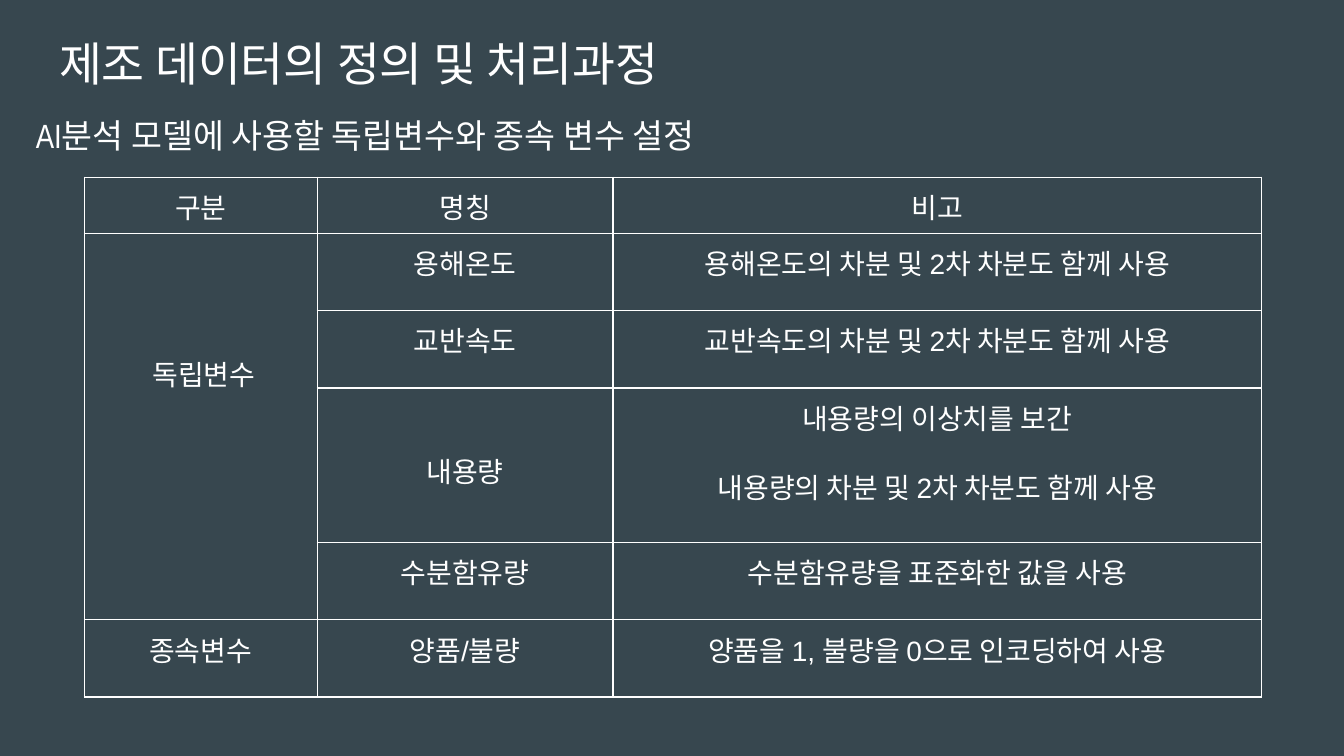
import dataclasses

import lxml.etree
import pptx
import pptx.dml.color
import pptx.enum.text
import pptx.oxml.ns
import pptx.util

Pt = pptx.util.Pt
ALIGN = pptx.enum.text.PP_ALIGN
ANCHOR = pptx.enum.text.MSO_ANCHOR


@dataclasses.dataclass(frozen=True)
class Theme:
    background: str = "37474F"
    ink: str = "FFFFFF"
    heading_font: str = "Arial Narrow"
    table_font: str = "Arial"
    title_size: float = 25
    subtitle_size: float = 18
    table_size: float = 15
    border_width: float = 0.75


def apply(target, formats):
    for name, value in formats.items():
        setattr(target, name, value)


def add_xml(parent, tag, **attributes):
    return lxml.etree.SubElement(parent, pptx.oxml.ns.qn(tag), attributes)


class Deck:
    """Holds the theme and the current slide."""

    def __init__(self, theme, width, height):
        self.theme = theme
        self.file = pptx.Presentation()
        apply(self.file, {"slide_width": Pt(width), "slide_height": Pt(height)})

    def add_slide(self):
        self.slide = self.file.slides.add_slide(self.file.slide_layouts[1])
        backdrop = self.slide.background.fill
        backdrop.solid()
        backdrop.fore_color.rgb = self.color(self.theme.background)

    def color(self, code):
        return pptx.dml.color.RGBColor.from_string(code)

    def add_text(self, paragraph, text, font, size, **formats):
        run = paragraph.add_run()
        run.text = text
        apply(run.font, {"name": font, "size": Pt(size), "bold": False})
        run.font.color.rgb = self.color(self.theme.ink)
        apply(paragraph, formats)

    def heading(self, index, text, box, size, indent=0):
        holder = self.slide.placeholders[index]
        apply(holder, dict(zip(("left", "top", "width", "height"), map(Pt, box))))
        frame = holder.text_frame
        margins = {f"margin_{side}": Pt(7.2) for side in ("left", "top", "right", "bottom")}
        apply(frame, {
            "word_wrap": True,
            "auto_size": pptx.enum.text.MSO_AUTO_SIZE.NONE,
            "vertical_anchor": ANCHOR.MIDDLE,
            **margins,
        })
        paragraph = frame.paragraphs[0]
        self.add_text(paragraph, text, self.theme.heading_font, size,
                      alignment=ALIGN.LEFT, line_spacing=1.0, space_before=Pt(0))
        # No bullet, plain left indent
        properties = paragraph._p.get_or_add_pPr()
        properties.set("marL", str(Pt(indent)))
        properties.set("indent", "0")
        add_xml(properties, "a:buNone")

    def borders(self, cell):
        properties = cell._tc.get_or_add_tcPr()
        for side in ("a:lnL", "a:lnR", "a:lnT", "a:lnB"):
            line = add_xml(properties, side, w=str(Pt(self.theme.border_width)))
            add_xml(add_xml(line, "a:solidFill"), "a:srgbClr", val=self.theme.ink)

    def table(self, rows, left, top, widths, heights, merges, drops):
        grid = self.slide.shapes.add_table(
            len(heights), len(widths), Pt(left), Pt(top),
            Pt(sum(widths)), Pt(sum(heights))).table
        apply(grid, {"first_row": False, "horz_banding": False})
        for column, width in zip(grid.columns, widths):
            column.width = Pt(width)
        for row, height in zip(grid.rows, heights):
            row.height = Pt(height)
        for first, last in merges:
            grid.cell(*first).merge(grid.cell(*last))
        for r, row in enumerate(rows):
            for c, text in enumerate(row):
                self.cell(grid.cell(r, c), text, drops.get((r, c), 0))

    def cell(self, cell, text, drop):
        self.borders(cell)
        cell.fill.background()
        apply(cell, {
            "margin_left": Pt(5), "margin_right": Pt(5),
            "margin_top": Pt(1.5 + drop), "margin_bottom": Pt(1.5),
            "vertical_anchor": ANCHOR.TOP,
        })
        if not text:
            return
        frame = cell.text_frame
        for n, line in enumerate(text.split("\n")):
            paragraph = frame.add_paragraph() if n else frame.paragraphs[0]
            self.add_text(paragraph, line, self.theme.table_font, self.theme.table_size,
                          alignment=ALIGN.CENTER, line_spacing=1.15,
                          space_before=Pt(12 if n else 0))


VARIABLES = [
    ("구분", "명칭", "비고"),
    (" 독립변수", "용해온도", "용해온도의 차분 및 2차 차분도 함께 사용"),
    ("", "교반속도", "교반속도의 차분 및 2차 차분도 함께 사용"),
    ("", "내용량", "내용량의 이상치를 보간\n내용량의 차분 및 2차 차분도 함께 사용"),
    ("", "수분함유량", "수분함유량을 표준화한 값을 사용"),
    ("종속변수", "양품/불량", "양품을 1, 불량을 0으로 인코딩하여 사용"),
]


def main():
    theme = Theme()
    deck = Deck(theme, 720, 405)
    deck.add_slide()

    # Title and subtitle
    deck.heading(0, "제조 데이터의 정의 및 처리과정",
                 (24.5, 0, 618.5, 67.7), theme.title_size)
    deck.heading(1, "AI분석 모델에 사용할 독립변수와 종속 변수 설정",
                 (-24, 38.5, 618.5, 67.7), theme.subtitle_size, indent=36)

    # Variable table: the content row is twice as tall as the other rows
    line = 41.4
    deck.table(VARIABLES, 45.2, 95, (124.7, 158.5, 347.5),
               (30.1, line, line, 2 * line, line, line),
               merges=[((1, 0), (4, 0))],
               drops={(1, 0): 59.5, (3, 1): 28.5})

    deck.file.save("out.pptx")


if __name__ == "__main__":
    main()
